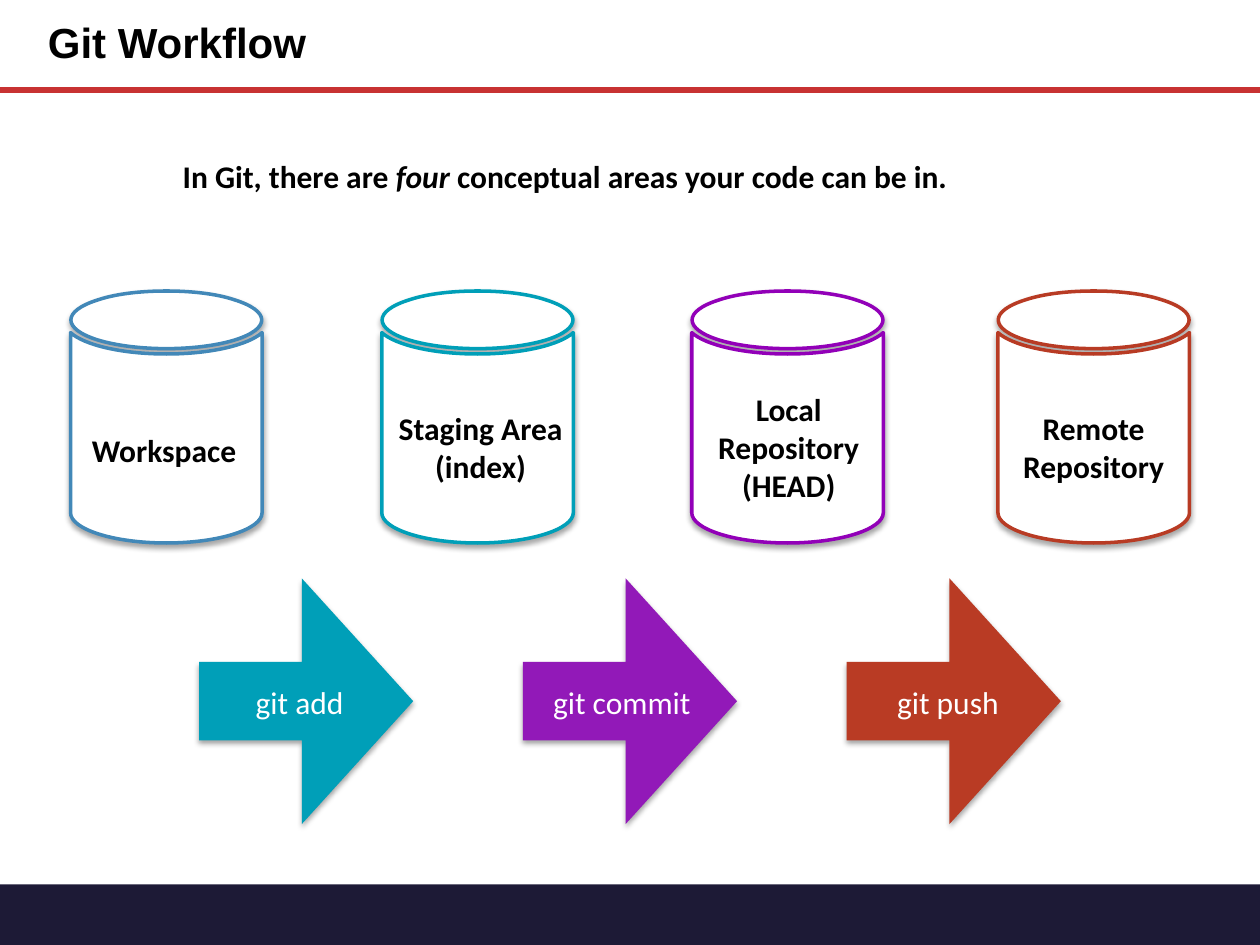
from lxml import etree
from pptx import Presentation
from pptx.dml.color import RGBColor
from pptx.enum.shapes import MSO_CONNECTOR, MSO_SHAPE
from pptx.enum.text import MSO_ANCHOR, PP_ALIGN
from pptx.oxml import parse_xml
from pptx.util import Inches, Pt

RECT = MSO_SHAPE.RECTANGLE
ARROW = MSO_SHAPE.RIGHT_ARROW
STRAIGHT = MSO_CONNECTOR.STRAIGHT
LEFT, CENTER = PP_ALIGN.LEFT, PP_ALIGN.CENTER
MIDDLE = MSO_ANCHOR.MIDDLE
NS = "http://schemas.openxmlformats.org/drawingml/2006/main"
SHADOW = (
    f'<a:effectLst xmlns:a="{NS}"><a:outerShdw blurRad="38100" dist="22860" '
    'dir="5400000" rotWithShape="0"><a:srgbClr val="000000">'
    '<a:alpha val="35000"/></a:srgbClr></a:outerShdw></a:effectLst>'
)
CURVES = [
    ("moveTo", [(76, 0)]),
    ("cubicBezTo", [(57, 0), (37, 2), (22, 7)]),
    ("cubicBezTo", [(-7, 16), (-7, 30), (22, 39)]),
    ("cubicBezTo", [(52, 48), (100, 48), (130, 39)]),
    ("cubicBezTo", [(159, 30), (159, 16), (130, 7)]),
    ("cubicBezTo", [(115, 2), (95, 0), (76, 0)]),
    ("close", []),
    ("moveTo", [(0, 33)]),
    ("lnTo", [(0, 176)]),
    ("cubicBezTo", [(0, 189), (34, 200), (76, 200)]),
    ("cubicBezTo", [(118, 200), (152, 189), (152, 176)]),
    ("lnTo", [(152, 33)]),
    ("cubicBezTo", [(141, 43), (111, 50), (76, 50)]),
    ("cubicBezTo", [(41, 50), (11, 43), (0, 33)]),
    ("close", []),
]
color = RGBColor.from_string


def label(box, parts, size=18, font="Calibri", tint="000000", bold=True):
    frame = box.text_frame
    frame.word_wrap = True
    frame.margin_left = frame.margin_right = Inches(0.05)
    frame.margin_top = frame.margin_bottom = Inches(0.05)
    frame.text = parts[0]
    for part in parts[1:]:
        frame.paragraphs[0].add_run().text = part
    for para in frame.paragraphs:
        para.alignment = CENTER if len(frame.paragraphs) > 1 else LEFT
        for run in para.runs:
            run.font.size = Pt(size)
            run.font.name = font
            run.font.bold = bold
            run.font.color.rgb = color(tint)


def paint(shape, fill, line=None, cast=True):
    shape.fill.solid()
    shape.fill.fore_color.rgb = color(fill)
    if line:
        shape.line.color.rgb = color(line)
        shape.line.width = Pt(2)
    else:
        shape.line.fill.background()
    shape.shadow.inherit = False
    if cast:
        props = shape.element.spPr
        props.replace(props.find(f"{{{NS}}}effectLst"), parse_xml(SHADOW))


prs = Presentation()
prs.slide_width, prs.slide_height = Inches(10), Inches(7.5)
slide = prs.slides.add_slide(prs.slide_layouts[5])
shapes = slide.shapes

band = shapes.add_shape(RECT, 0, Inches(7.02), Inches(10.01), Inches(0.5))
paint(band, "1D1A36", cast=False)
rule = shapes.add_connector(STRAIGHT, 0, Inches(0.715), Inches(10), Inches(0.715))
rule.line.color.rgb = color("C83232")
rule.line.width = Pt(3.25)
etree.SubElement(rule.element.spPr, f"{{{NS}}}effectLst")

title = shapes.title
title.left, title.top = Inches(0.33), Inches(0)
title.width, title.height = Inches(5.98), Inches(0.72)
label(title, ["Git Workflow"], 24, "Arial")
title.text_frame.vertical_anchor = MIDDLE
title.text_frame.paragraphs[0].line_spacing = 0.9

intro = shapes.add_textbox(Inches(1.4), Inches(1.2), Inches(7.13), Inches(0.39))
label(intro, ["In Git, there are ", "four", " conceptual areas your code can be in."])
intro.text_frame.paragraphs[0].runs[1].font.italic = True

drums = [
    (0.56, "4288B8", "Workspace", 0.68, 3.37, 1.37),
    (3.03, "009FB8", "Staging Area\n(index)", 3, 3.2, 1.63),
    (5.49, "9200B8", "Local\nRepository\n(HEAD)", 5.54, 3.05, 1.44),
    (7.92, "B83B24", "Remote\nRepository", 8, 3.2, 1.36),
]
for left, tint, text, start, top, width in drums:
    form = shapes.build_freeform(scale=Inches(0.01))
    form.add_line_segments([(152, 0), (152, 200), (0, 200)])
    drum = form.convert_to_shape(Inches(left), Inches(2.31))
    route = drum.element.spPr.find(f".//{{{NS}}}path")
    for old in list(route):
        route.remove(old)
    for kind, points in CURVES:
        step = etree.SubElement(route, f"{{{NS}}}{kind}")
        for x, y in points:
            etree.SubElement(step, f"{{{NS}}}pt", x=str(x), y=str(y))
    paint(drum, "FFFFFF", tint)
    high = 0.1 + 0.29 * (text.count("\n") + 1)
    box = shapes.add_textbox(Inches(start), Inches(top), Inches(width), Inches(high))
    label(box, [text])

steps = [
    ("git add", "009FB8", 1.58, 1.98, 0.9),
    ("git commit", "9219B8", 4.15, 4.34, 1.33),
    ("git push", "B93B24", 6.72, 7.07, 1),
]
for text, tint, left, start, width in steps:
    arrow = shapes.add_shape(ARROW, Inches(left), Inches(4.59), Inches(1.7), Inches(1.95))
    arrow.adjustments[0], arrow.adjustments[1] = 0.32, 0.52
    paint(arrow, tint)
    box = shapes.add_textbox(Inches(start), Inches(5.37), Inches(width), Inches(0.39))
    label(box, [text], tint="FFFFFF", bold=False)

prs.save("out.pptx")
